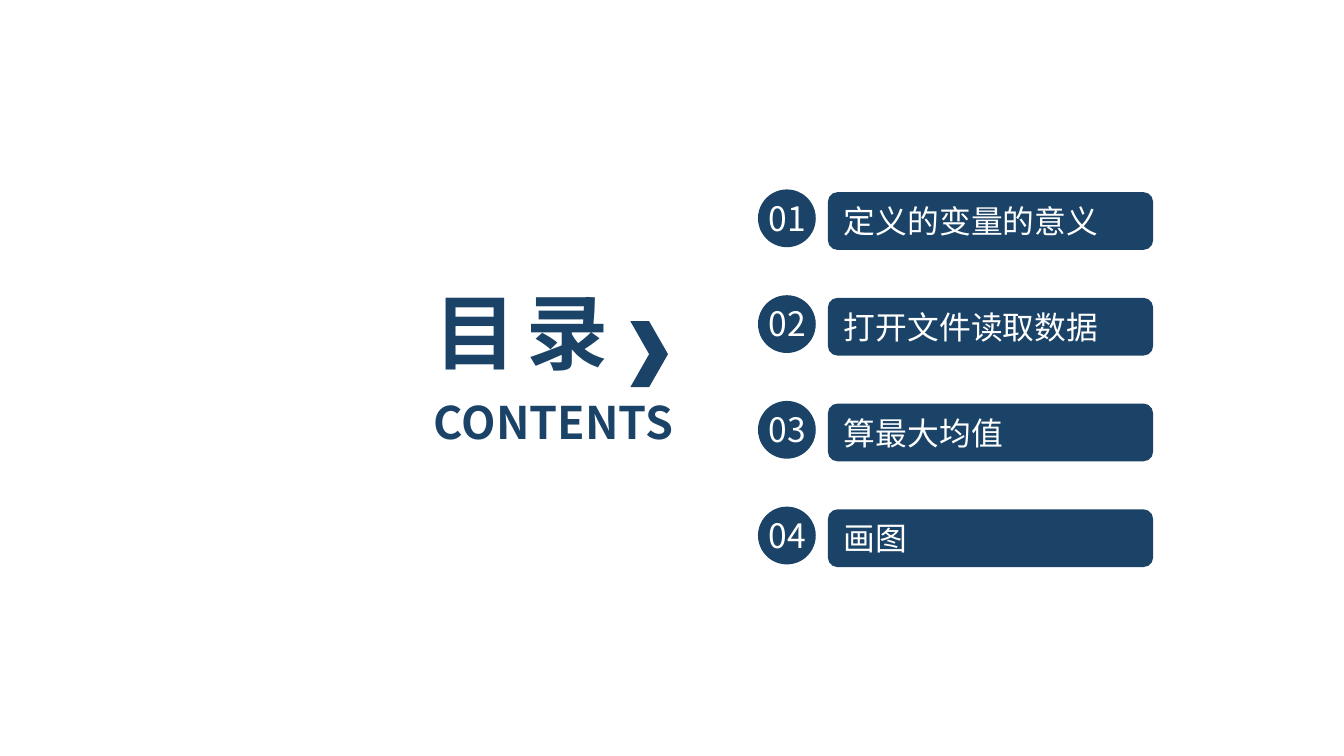
"""Build a contents slide with a heading and four numbered entries."""
from lxml import etree
from pptx import Presentation
from pptx import util as u
from pptx.dml.color import RGBColor
from pptx.enum import shapes, text
from pptx.oxml.ns import qn

WIDTH = 10
HEIGHT = WIDTH * 9 / 16
NAVY, WHITE = "1B4367", "FFFFFF"
FONT = "Noto Sans CJK SC"
TITLE, SUBTITLE = "目 录", "CONTENTS"
ENTRIES = ["定义的变量的意义", "打开文件读取数据", "算最大均值", "画图"]
TOP, PITCH = 1.41, 2.36 / 3
LEFT, CENTER = text.PP_ALIGN.LEFT, text.PP_ALIGN.CENTER


def color(value):
    return RGBColor.from_string(value)


def inches(*values):
    return [u.Inches(v) for v in values]


def write(sp, content, size, fill, align=LEFT, bold=False):
    tf = sp.text_frame
    frame = {"word_wrap": True, "auto_size": text.MSO_AUTO_SIZE.NONE,
             "vertical_anchor": text.MSO_ANCHOR.MIDDLE}
    for name, value in frame.items():
        setattr(tf, name, value)
    p = tf.paragraphs[0]
    p.alignment = align
    r = p.add_run()
    r.text = content
    for name, value in {"name": FONT, "size": u.Pt(size), "bold": bold}.items():
        setattr(r.font, name, value)
    r.font.color.rgb = color(fill)
    rPr = r._r.get_or_add_rPr()
    etree.SubElement(rPr, qn("a:ea")).set("typeface", FONT)
    return rPr


def add_shape(parent, kind, box):
    sp = parent.add_shape(kind, *inches(*box))
    sp.shadow.inherit = False
    sp.fill.solid()
    sp.fill.fore_color.rgb = color(NAVY)
    sp.line.fill.background()
    return sp


def add_heading(s):
    title = s.shapes.title
    for name, value in zip(("left", "top", "width", "height"), inches(3.13, 2.04, 2.35, 0.84)):
        setattr(title, name, value)
    write(title, TITLE, 44, NAVY, bold=True).set("spc", "-220")
    sp = s.shapes.add_textbox(*inches(3.13, 2.89, 2.31, 0.5))
    write(sp, SUBTITLE, 24, NAVY, bold=True)
    add_shape(s.shapes, shapes.MSO_SHAPE.CHEVRON, (4.69, 2.39, 0.28, 0.49))


def add_entry(s, number, content):
    y = TOP + (number - 1) * PITCH
    group = s.shapes.add_group_shape().shapes
    bar = add_shape(group, shapes.MSO_SHAPE.ROUNDED_RECTANGLE, (6.16, y + 0.02, 2.42, 0.43))
    write(bar, content, 17, WHITE)
    add_shape(group, shapes.MSO_SHAPE.OVAL, (5.64, y, 0.43, 0.43))
    label = group.add_textbox(*inches(5.6, y + 0.01, 0.52, 0.4))
    write(label, f"{number:02d}", 18, WHITE, CENTER)


def main():
    prs = Presentation()
    prs.slide_width, prs.slide_height = inches(WIDTH, HEIGHT)
    s = prs.slides.add_slide(prs.slide_layouts[5])
    add_heading(s)
    for number, content in enumerate(ENTRIES, 1):
        add_entry(s, number, content)
    prs.save("out.pptx")


if __name__ == "__main__":
    main()
